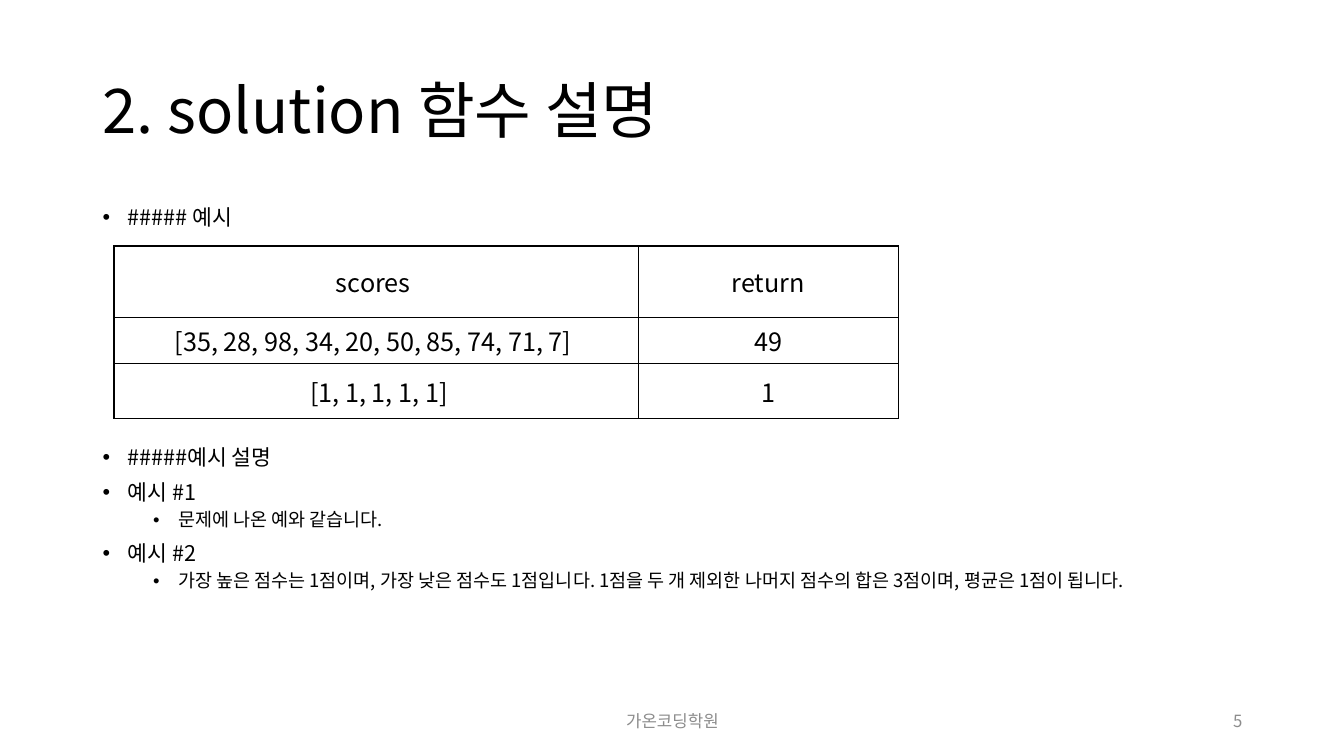
"""Build the slide that explains the solution function with an example table."""
from lxml.etree import SubElement
from pptx import Presentation
from pptx.dml.color import RGBColor
from pptx.enum.text import MSO_ANCHOR, PP_ALIGN
from pptx.oxml.ns import qn
from pptx.util import Inches, Pt

FONT = "Noto Sans CJK KR"
BLACK = RGBColor(0x00, 0x00, 0x00)
GRAY = RGBColor(0x8C, 0x8C, 0x8C)
LEFT, CONTENT_WIDTH = 0.92, 11.5
FOOTER_TOP, FOOTER_HEIGHT = 6.95, 0.4


def add_text(paragraph, text, size, color=BLACK):
    run = paragraph.add_run()
    run.text = text
    run.font.size = Pt(size)
    run.font.name = FONT
    run.font.color.rgb = color
    SubElement(run.font._element, qn("a:ea"), typeface=FONT)


def add_frame(left, top, width, height, anchor=MSO_ANCHOR.MIDDLE):
    box = slide.shapes.add_textbox(Inches(left), Inches(top), Inches(width), Inches(height))
    box.text_frame.word_wrap = True
    box.text_frame.vertical_anchor = anchor
    return box.text_frame


presentation = Presentation()
presentation.slide_width = Inches(13.33)
presentation.slide_height = Inches(7.5)
slide = presentation.slides.add_slide(presentation.slide_layouts[6])

title = add_frame(LEFT, 0.4, CONTENT_WIDTH, 1.45).paragraphs[0]
title.line_spacing = 0.9
add_text(title, "2. solution 함수 설명", 44)

bullet_blocks = [
    (2, 0.4, [(0, "##### 예시")]),
    (4.38, 2.38, [
        (0, "#####예시 설명"),
        (0, "예시 #1"),
        (1, "문제에 나온 예와 같습니다."),
        (0, "예시 #2"),
        (1, "가장 높은 점수는 1점이며, 가장 낮은 점수도 1점입니다. "
            "1점을 두 개 제외한 나머지 점수의 합은 3점이며, 평균은 1점이 됩니다."),
    ]),
]
level_styles = [(15.4, 8.5, 0.25), (13.2, 4.25, 0.75)]
for top, height, bullets in bullet_blocks:
    frame = add_frame(LEFT, top, CONTENT_WIDTH, height, MSO_ANCHOR.TOP)
    for index, (level, text) in enumerate(bullets):
        paragraph = frame.add_paragraph() if index else frame.paragraphs[0]
        size, space_before, indent = level_styles[level]
        paragraph.level = level
        paragraph.line_spacing = 0.9
        paragraph.space_before = Pt(space_before if index else 0)
        properties = paragraph._p.get_or_add_pPr()
        properties.set("marL", str(Inches(indent)))
        properties.set("indent", str(Inches(-0.25)))
        SubElement(properties, qn("a:buFont"), typeface="Arial")
        SubElement(properties, qn("a:buChar"), char="•")
        add_text(paragraph, text, size)

examples = [
    ("scores ", "return"),
    ("[35, 28, 98, 34, 20, 50, 85, 74, 71, 7] ", "49"),
    ("\u00a0[1, 1, 1, 1, 1]", "1"),
]
column_widths = [5.2, 2.58]
row_heights = [0.71, 0.46, 0.54]
table = slide.shapes.add_table(
    len(examples), len(column_widths), Inches(1.13), Inches(2.44),
    Inches(sum(column_widths)), Inches(sum(row_heights))).table
table.first_row = False
table.horz_banding = False
for column, width in zip(table.columns, column_widths):
    column.width = Inches(width)
for row, height, values in zip(table.rows, row_heights, examples):
    row.height = Inches(height)
    for cell, value in zip(row.cells, values):
        cell.vertical_anchor = MSO_ANCHOR.MIDDLE
        cell_properties = cell._tc.get_or_add_tcPr()
        for side in ("lnL", "lnR", "lnT", "lnB"):
            border = SubElement(cell_properties, qn(f"a:{side}"), w=str(Pt(1)))
            border_fill = SubElement(border, qn("a:solidFill"))
            SubElement(border_fill, qn("a:srgbClr"), val=str(BLACK))
        cell.fill.background()
        paragraph = cell.text_frame.paragraphs[0]
        paragraph.alignment = PP_ALIGN.CENTER
        add_text(paragraph, value, 18)

footers = [
    (4.42, 4.5, PP_ALIGN.CENTER, "가온코딩학원"),
    (9.42, 3, PP_ALIGN.RIGHT, "5"),
]
for left, width, alignment, text in footers:
    paragraph = add_frame(left, FOOTER_TOP, width, FOOTER_HEIGHT).paragraphs[0]
    paragraph.alignment = alignment
    add_text(paragraph, text, 12, GRAY)

presentation.save("out.pptx")
